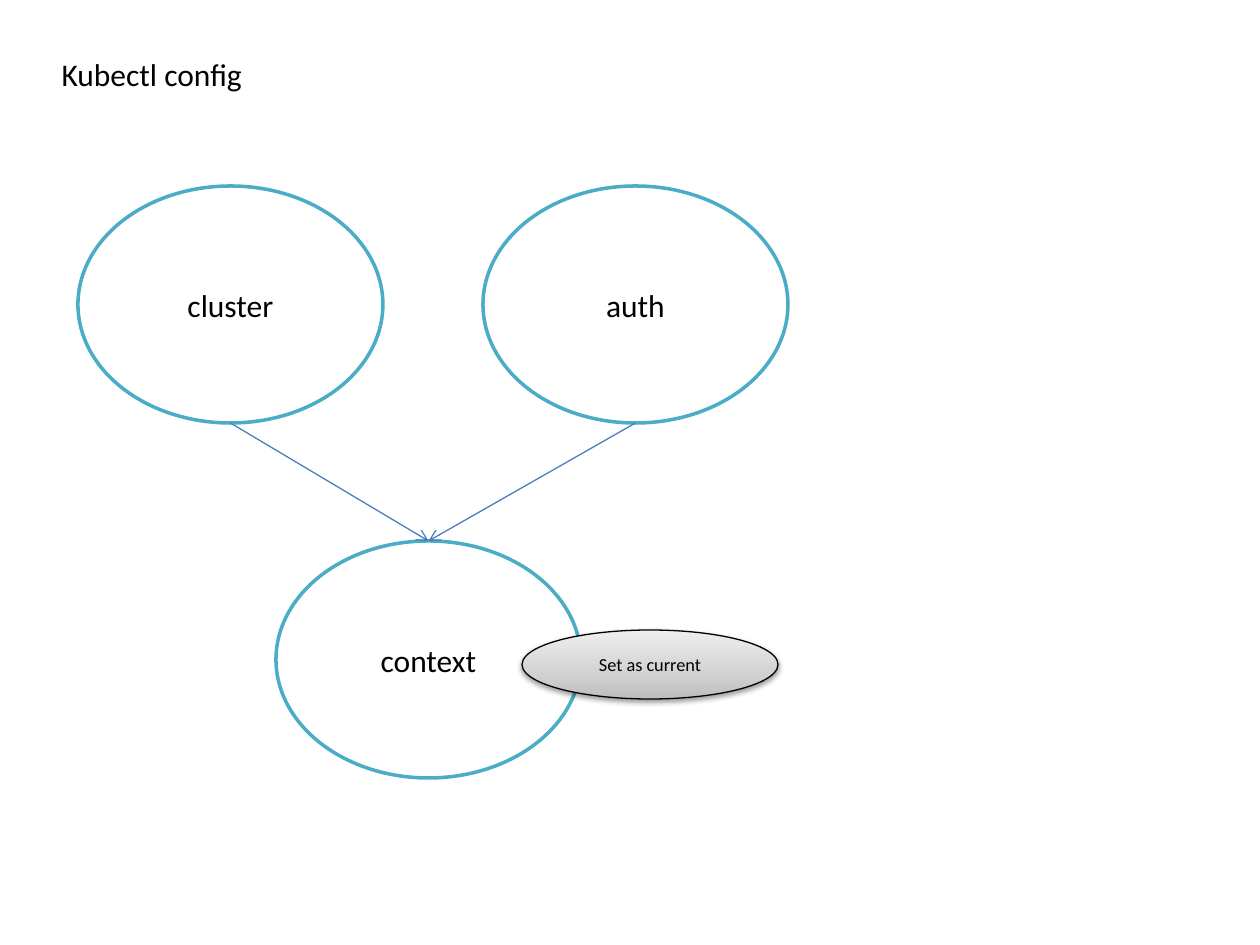
from copy import deepcopy
from dataclasses import dataclass

from lxml import etree
from pptx import Presentation
from pptx import util as u
from pptx.dml.color import RGBColor
from pptx.enum import shapes, text
from pptx.oxml import ns

PX_PER_INCH = 126


@dataclass(frozen=True)
class Theme:
    font: str = "Calibri"
    ink: str = "000000"
    paper: str = "FFFFFF"
    ring: str = "4BACC6"
    arrow: str = "4B7EBC"
    badge_stops: tuple = ((0, "BDBDBD"), (0.35, "D1D1D1"), (1, "EEEEEE"))
    body_size: float = 18
    badge_size: float = 10.5
    ring_width: float = 2
    thin_width: float = 0.75


THEME = Theme()


def px(length):
    return u.Emu(round(length * 914400 / PX_PER_INCH))


def rgb(colour):
    return RGBColor.from_string(colour)


def write(shape, words, size=THEME.body_size, align=text.PP_ALIGN.CENTER,
          anchor=text.MSO_ANCHOR.MIDDLE):
    frame = shape.text_frame
    frame.word_wrap = True
    frame.vertical_anchor = anchor
    paragraph = frame.paragraphs[0]
    paragraph.alignment = align
    run = paragraph.add_run()
    run.text = words
    run.font.name = THEME.font
    run.font.size = u.Pt(size)
    run.font.color.rgb = rgb(THEME.ink)


def outline(shape, colour, width):
    shape.line.color.rgb = rgb(colour)
    shape.line.width = u.Pt(width)


def add_heading(slide, box, words):
    heading = slide.shapes.title
    heading.left, heading.top, heading.width, heading.height = map(px, box)
    write(heading, words, align=text.PP_ALIGN.LEFT, anchor=text.MSO_ANCHOR.TOP)


def add_node(slide, box, words):
    node = slide.shapes.add_shape(
        shapes.MSO_SHAPE.FLOWCHART_CONNECTOR, *map(px, box))
    node.shadow.inherit = False
    node.fill.solid()
    node.fill.fore_color.rgb = rgb(THEME.paper)
    outline(node, THEME.ring, THEME.ring_width)
    write(node, words)
    return node


def add_arrow(slide, source, target):
    arrow = slide.shapes.add_connector(
        shapes.MSO_CONNECTOR.STRAIGHT, 0, 0, 0, 0)
    arrow.begin_connect(source, 2)
    arrow.end_connect(target, 0)
    round_bottom_site = "4"
    arrow._element.find(".//" + ns.qn("a:stCxn")).set("idx", round_bottom_site)
    outline(arrow, THEME.arrow, THEME.thin_width)
    etree.SubElement(arrow.line._get_or_add_ln(), ns.qn("a:tailEnd"), type="arrow")
    etree.SubElement(arrow._element.spPr, ns.qn("a:effectLst"))


def fill_badge(badge):
    badge.fill.gradient()
    badge.fill.gradient_angle = 90
    first = badge.fill.gradient_stops[0]._gs
    first.addnext(deepcopy(first))
    for stop, (position, colour) in zip(badge.fill.gradient_stops, THEME.badge_stops):
        stop.position = position
        stop.color.rgb = rgb(colour)


def cast_shadow(shape, blur, distance, opacity):
    shape.shadow.inherit = False
    effects = shape._element.spPr.find(ns.qn("a:effectLst"))
    shadow = etree.SubElement(
        effects, ns.qn("a:outerShdw"), blurRad=str(u.Pt(blur)),
        dist=str(u.Pt(distance)), dir="5400000", rotWithShape="0")
    colour = etree.SubElement(shadow, ns.qn("a:srgbClr"), val=THEME.ink)
    etree.SubElement(colour, ns.qn("a:alpha"), val=str(opacity * 1000))


def add_badge(slide, box, words):
    badge = slide.shapes.add_shape(shapes.MSO_SHAPE.OVAL, *map(px, box))
    fill_badge(badge)
    outline(badge, THEME.ink, THEME.thin_width)
    cast_shadow(badge, blur=3.1, distance=1.6, opacity=38)
    write(badge, words, size=THEME.badge_size)


def add_config_diagram(slide, box):
    left, top, width, height = box
    node_width, node_height = 305, 237
    auth = add_node(
        slide, (left + width - node_width, top, node_width, node_height), "auth")
    cluster = add_node(slide, (left, top, node_width, node_height), "cluster")
    context = add_node(
        slide, (left + 198, top + height - node_height, node_width, node_height),
        "context")
    for source in (cluster, auth):
        add_arrow(slide, source, context)
    add_badge(slide, (left + 444, top + 444, 256, 69), "Set as current")


def main():
    deck = Presentation()
    deck.slide_width, deck.slide_height = px(1260), px(945)
    title_only = deck.slide_layouts[5]
    slide = deck.slides.add_slide(title_only)
    add_heading(slide, (49, 49, 364, 50), "Kubectl config")
    add_config_diagram(slide, (78, 186, 710, 592))
    deck.save("out.pptx")


if __name__ == "__main__":
    main()
